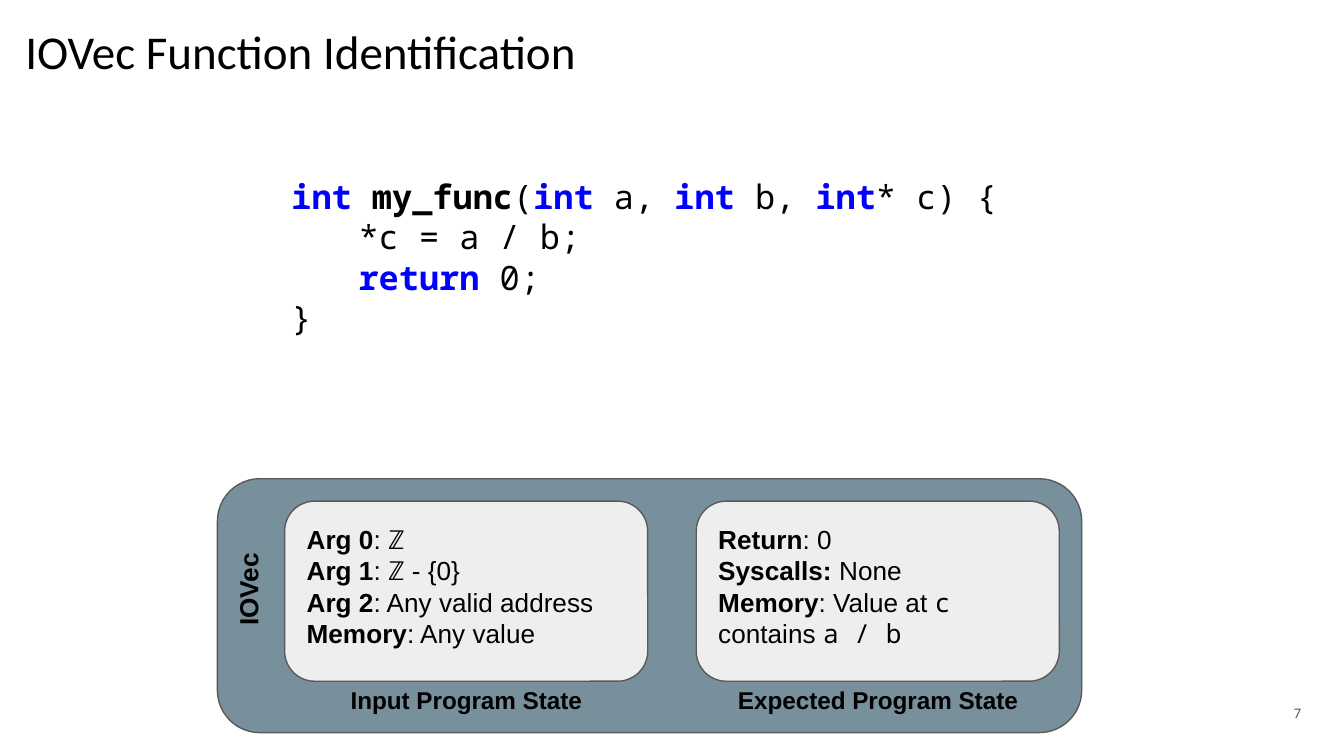
import pptx
import pptx.dml.color
import pptx.enum.shapes
import pptx.enum.text
import pptx.util

Pt = pptx.util.Pt
RGBColor = pptx.dml.color.RGBColor
MSO_SHAPE = pptx.enum.shapes.MSO_SHAPE
PP_ALIGN = pptx.enum.text.PP_ALIGN
MSO_ANCHOR = pptx.enum.text.MSO_ANCHOR

BLACK = RGBColor(0x00, 0x00, 0x00)
WHITE = RGBColor(0xFF, 0xFF, 0xFF)
KEYWORD_BLUE = RGBColor(0x00, 0x00, 0xFF)
SLATE = RGBColor(0x78, 0x90, 0x9C)
PANEL_GREY = RGBColor(0xEE, 0xEE, 0xEE)
DARK_GREY = RGBColor(0x59, 0x59, 0x59)

SANS, MONO, TITLE_FONT = "Arial", "Noto Sans Mono", "Calibri"


def add_box(kind, x, y, w, h, fill, line):
    sp = s.shapes.add_shape(kind, Pt(x), Pt(y), Pt(w), Pt(h))
    sp.shadow.inherit = False
    sp.fill.solid()
    sp.fill.fore_color.rgb = fill
    sp.line.color.rgb = line
    sp.line.width = Pt(0.75)
    return sp


def write(sp, lines, size, align=PP_ALIGN.LEFT, anchor=MSO_ANCHOR.TOP):
    """Fill a shape with lines, each a list of (text, font, bold, colour) runs."""
    tf = sp.text_frame
    tf.word_wrap = True
    tf.vertical_anchor = anchor
    tf.margin_left = tf.margin_right = tf.margin_top = tf.margin_bottom = Pt(7.2)
    for i, runs in enumerate(lines):
        p = tf.paragraphs[0] if i == 0 else tf.add_paragraph()
        p.alignment = align
        for text, font, bold, colour in runs:
            r = p.add_run()
            r.text = text
            r.font.name = font
            r.font.size = Pt(size)
            r.font.bold = bold
            r.font.color.rgb = colour


prs = pptx.Presentation()
prs.slide_width, prs.slide_height = Pt(720), Pt(405)
s = prs.slides.add_slide(prs.slide_layouts[6])

add_box(MSO_SHAPE.ROUNDED_RECTANGLE, 116.5, 256.5, 463, 136, SLATE, DARK_GREY)

# Slide number
sp = add_box(MSO_SHAPE.OVAL, 667.5, 367, 43, 31, WHITE, WHITE)
write(sp, [[("7", TITLE_FONT, False, DARK_GREY)]], 7.8, PP_ALIGN.RIGHT, MSO_ANCHOR.MIDDLE)
sp.text_frame.paragraphs[0].line_spacing = 0.8

# Title
sp = s.shapes.add_textbox(Pt(6.5), Pt(5), Pt(689), Pt(45.5))
write(sp, [[("IOVec Function Identification", TITLE_FONT, False, BLACK)]], 25.2)

# Code
code = [
    [("int ", MONO, True, KEYWORD_BLUE), ("my_func", MONO, True, BLACK),
     ("(", MONO, False, BLACK), ("int", MONO, True, KEYWORD_BLUE),
     (" a, ", MONO, False, BLACK), ("int", MONO, True, KEYWORD_BLUE),
     (" b, ", MONO, False, BLACK), ("int", MONO, True, KEYWORD_BLUE),
     ("* c) {", MONO, False, BLACK)],
    [("*c = a / b;", MONO, False, BLACK)],
    [("return", MONO, True, KEYWORD_BLUE), (" 0;", MONO, False, BLACK)],
    [("}", MONO, False, BLACK)],
]
sp = s.shapes.add_textbox(Pt(149), Pt(87), Pt(422), Pt(98))
write(sp, code, 18)
for p in sp.text_frame.paragraphs[1:3]:
    pPr = p._p.get_or_add_pPr()
    pPr.set("marL", "0")
    pPr.set("indent", str(Pt(36)))

# Program states, each a panel with its caption centred below
input_state = [
    [(name, SANS, True, BLACK), (value, SANS, False, BLACK)]
    for name, value in [("Arg 0", ": ℤ"), ("Arg 1", ": ℤ - {0}"),
                        ("Arg 2", ": Any valid address"), ("Memory", ": Any value")]
]
expected_state = [
    [("Return", SANS, True, BLACK), (": 0", SANS, False, BLACK)],
    [("Syscalls: ", SANS, True, BLACK), ("None", SANS, False, BLACK)],
    [("Memory", SANS, True, BLACK), (": Value at ", SANS, False, BLACK),
     ("c", MONO, False, BLACK), (" contains ", SANS, False, BLACK),
     ("a / b", MONO, False, BLACK)],
]
PANEL_W, CAPTION_W = 194.5, 182
for x, caption, state in [(152.5, "Input Program State", input_state),
                          (373, "Expected Program State", expected_state)]:
    sp = add_box(MSO_SHAPE.ROUNDED_RECTANGLE, x, 268.5, PANEL_W, 96.5, PANEL_GREY, DARK_GREY)
    write(sp, state, 14)
    sp = s.shapes.add_textbox(Pt(x + (PANEL_W - CAPTION_W) / 2), Pt(360), Pt(CAPTION_W), Pt(30))
    write(sp, [[(caption, SANS, True, BLACK)]], 13, PP_ALIGN.CENTER)

# Vertical label
sp = s.shapes.add_textbox(Pt(45.5), Pt(300), Pt(175), Pt(31.5))
sp.rotation = 270
write(sp, [[("IOVec", SANS, True, BLACK)]], 14, PP_ALIGN.CENTER)

prs.save("out.pptx")
